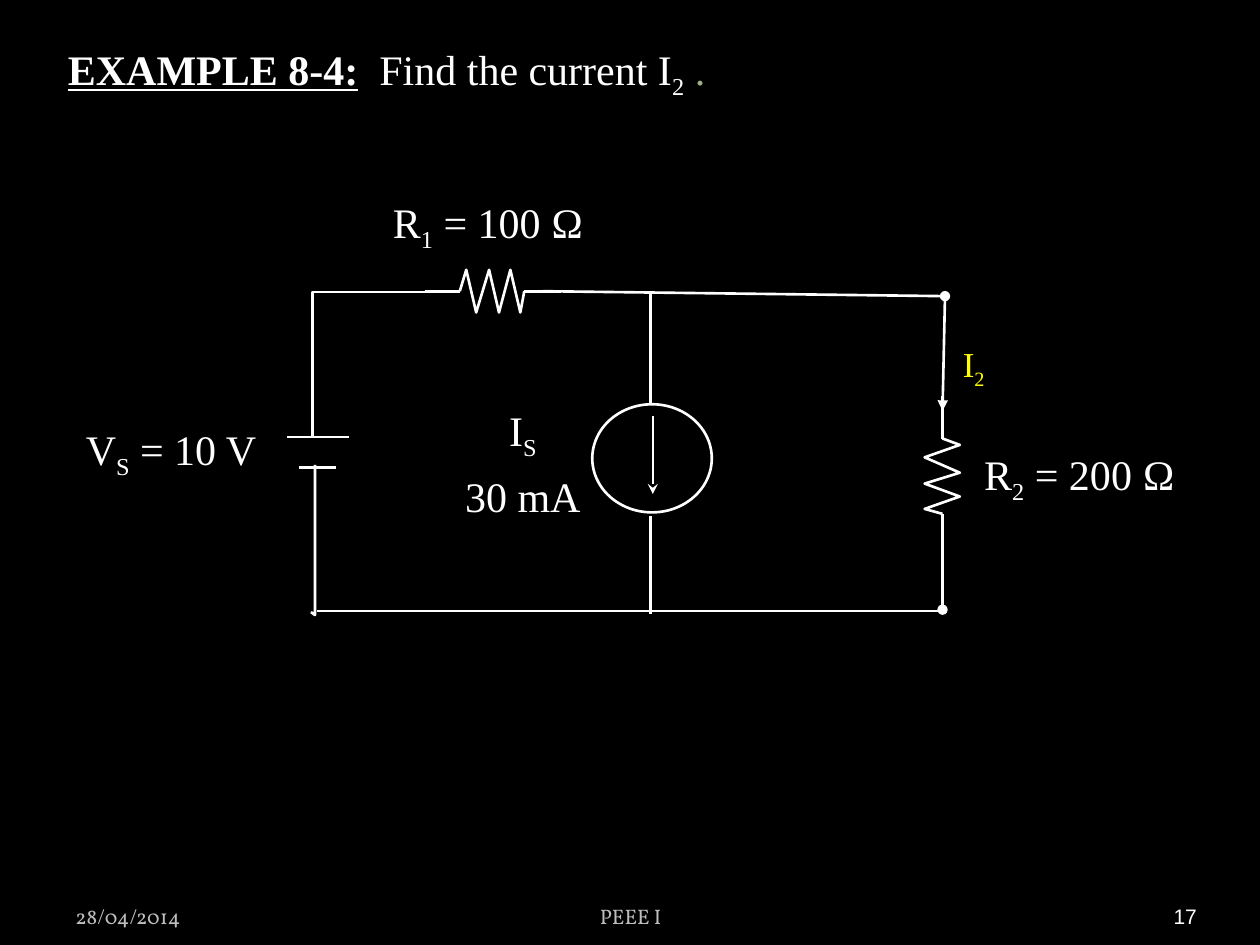
from dataclasses import dataclass

from lxml import etree
from pptx import Presentation
from pptx.dml.color import RGBColor
from pptx.enum.shapes import MSO_CONNECTOR, MSO_SHAPE
from pptx.enum.text import MSO_ANCHOR, MSO_AUTO_SIZE, PP_ALIGN
from pptx.oxml.ns import qn
from pptx.util import Cm, Pt

COLORS = {
    "background": "000000",
    "main": "FFFFFF",
    "current": "FFFF00",
    "period": "9CB084",
    "footer": "BDBDBD",
}
SERIF, FOOTER_FONT, NUMBER_FONT = "Times New Roman", "Vollkorn", "Arial"
LEFT, CENTER, RIGHT = PP_ALIGN.LEFT, PP_ALIGN.CENTER, PP_ALIGN.RIGHT
NO_INSETS = (0, 0, 0, 0)
BOX_INSETS = (0.25, 0.13, 0.25, 0.13)


@dataclass
class Part:
    """One stretch of text within a paragraph."""
    text: str
    sub: bool = False
    heading: bool = False
    color: str = ""


@dataclass
class Label:
    box: tuple[float, float, float, float]
    paragraphs: list[list[Part]]
    size: int = 24
    color: str = "main"
    font: str = SERIF
    align: PP_ALIGN = LEFT
    anchor: MSO_ANCHOR = MSO_ANCHOR.TOP
    insets: tuple[float, float, float, float] = NO_INSETS
    wrap: bool = True


@dataclass
class Wire:
    start: tuple[float, float]
    end: tuple[float, float]
    width: float = 1.5
    head: str = ""
    tail: str = ""


def rgb(name: str) -> RGBColor:
    return RGBColor.from_string(COLORS[name])


def style_line(shape, width: float = 1.5) -> None:
    shape.line.color.rgb = rgb("main")
    shape.line.width = Pt(width)


def add_label(slide, label: Label) -> None:
    frame = slide.shapes.add_textbox(*map(Cm, label.box)).text_frame
    frame.word_wrap = label.wrap
    frame.auto_size = MSO_AUTO_SIZE.NONE if label.wrap else MSO_AUTO_SIZE.SHAPE_TO_FIT_TEXT
    frame.vertical_anchor = label.anchor
    (frame.margin_left, frame.margin_top,
     frame.margin_right, frame.margin_bottom) = map(Cm, label.insets)
    for index, parts in enumerate(label.paragraphs):
        paragraph = frame.add_paragraph() if index else frame.paragraphs[0]
        paragraph.alignment = label.align
        paragraph.space_before = Pt(5 if index else 0)
        for part in parts:
            run = paragraph.add_run()
            run.text = part.text
            font = run.font
            font.name, font.size = label.font, Pt(label.size)
            font.color.rgb = rgb(part.color or label.color)
            font.bold = font.underline = part.heading
            if part.sub:
                font._element.set("baseline", "-25000")


def add_wire(slide, wire: Wire) -> None:
    line = slide.shapes.add_connector(
        MSO_CONNECTOR.STRAIGHT, *map(Cm, wire.start + wire.end))
    style_line(line, wire.width)
    for tag, kind in (("a:headEnd", wire.head), ("a:tailEnd", wire.tail)):
        if kind:
            etree.SubElement(line.line._get_or_add_ln(), qn(tag), type=kind)
    etree.SubElement(line._element.spPr, qn("a:effectLst"))


def add_path(slide, points: list[tuple[float, float]]) -> None:
    first, *rest = [(Cm(x), Cm(y)) for x, y in points]
    builder = slide.shapes.build_freeform(*first)
    builder.add_line_segments(rest, close=False)
    path = builder.convert_to_shape()
    path.fill.background()
    path.shadow.inherit = False
    style_line(path)


def subscripted(symbol: str, index: str, rest: str = "") -> list[Part]:
    parts = [Part(symbol), Part(index, sub=True)]
    return parts + [Part(rest)] if rest else parts


def footer(left: float, width: float, text: str, align: PP_ALIGN,
           font: str = FOOTER_FONT, color: str = "footer",
           insets: tuple[float, float, float, float] = BOX_INSETS) -> Label:
    return Label((left, 17.83, width, 1.02), [[Part(text)]], 12, color, font,
                 align, MSO_ANCHOR.BOTTOM, insets)


# Main axes of the circuit
TOP, BOTTOM = 5.87, 12.32
SOURCE_X, LOAD_X = 13.11, 19.0

LABELS = [
    Label((1.12, 0.74, 13.39, 1.27),
          [[Part("EXAMPLE 8-4:", heading=True),
            *subscripted("  Find the current I", "2"), Part(" .", color="period")]],
          insets=BOX_INSETS, wrap=False),
    Label((19.41, 6.91, 1.83, 1.75), [subscripted("I", "2")], 20, "current"),
    Label((7.92, 3.96, 4.37, 1.37), [subscripted("R", "1", " = 100 \u2126")]),
    Label((1.73, 8.53, 3.76, 1.52), [subscripted("V", "S", " = 10 V")]),
    Label((19.84, 9.04, 4.37, 1.37), [subscripted("R", "2", " = 200 \u2126")]),
    Label((8.99, 8.15, 3.1, 3.23),
          [subscripted("I", "S"), [Part("30 mA")]], align=CENTER),
    footer(1.27, 5.92, "28/04/2014", LEFT),
    footer(8.69, 8.05, "PEEE I", CENTER),
    footer(22.02, 2.11, "17", RIGHT, NUMBER_FONT, "main", (0, 0.13, 0, 0.13)),
]

WIRES = [
    # Battery plates
    Wire((5.79, 8.81), (7.04, 8.81)),
    Wire((6.02, 9.42), (6.78, 9.42), width=1.75),
    # Top and bottom
    Wire((8.56, TOP), (9.27, TOP)),
    Wire((10.57, TOP), (11.3, TOP)),
    Wire((10.95, TOP), (19.05, 5.97)),
    Wire((18.9, BOTTOM), (6.4, BOTTOM)),
    # Load branch
    Wire((19.05, 5.97), (LOAD_X, 8.28), head="oval", tail="triangle"),
    Wire((LOAD_X, 7.98), (LOAD_X, 8.84)),
    Wire((LOAD_X, 10.36), (LOAD_X, 11.23)),
    Wire((LOAD_X, 10.82), (LOAD_X, 12.29), tail="oval"),
    # Current source branch
    Wire((SOURCE_X, TOP), (SOURCE_X, 8.13)),
    Wire((SOURCE_X, 10.41), (SOURCE_X, 12.37)),
    Wire((13.16, 8.38), (13.16, 9.96), tail="stealth"),
]

# Resistor turning points along each axis
R1_X = [9.27, 9.4, 9.6, 9.86, 10.06, 10.29, 10.49, 10.57]
R1_Y = [TOP, *[5.44, 6.3] * 3, TOP]
R2_X = [LOAD_X, *[19.35, 18.64] * 3, LOAD_X]
R2_Y = [8.84, 8.97, 9.22, 9.53, 9.75, 10.01, 10.26, 10.36]
PATHS = [
    [(6.3, 8.79), (6.3, 5.89), (8.79, 5.89)],
    [(6.27, 12.34), (6.35, 12.4), (6.35, 9.37)],
    list(zip(R1_X, R1_Y)),
    list(zip(R2_X, R2_Y)),
]

# Slide
deck = Presentation()
deck.slide_width, deck.slide_height = Cm(25.4), Cm(19.05)
slide = deck.slides.add_slide(deck.slide_layouts[6])
slide.background.fill.solid()
slide.background.fill.fore_color.rgb = rgb("background")

# Circuit
for wire in WIRES:
    add_wire(slide, wire)
for points in PATHS:
    add_path(slide, points)
source = slide.shapes.add_shape(
    MSO_SHAPE.OVAL, Cm(11.94), Cm(8.15), Cm(2.41), Cm(2.18))
source.fill.background()
source.shadow.inherit = False
style_line(source)

# Text
for label in LABELS:
    add_label(slide, label)

deck.save("out.pptx")
